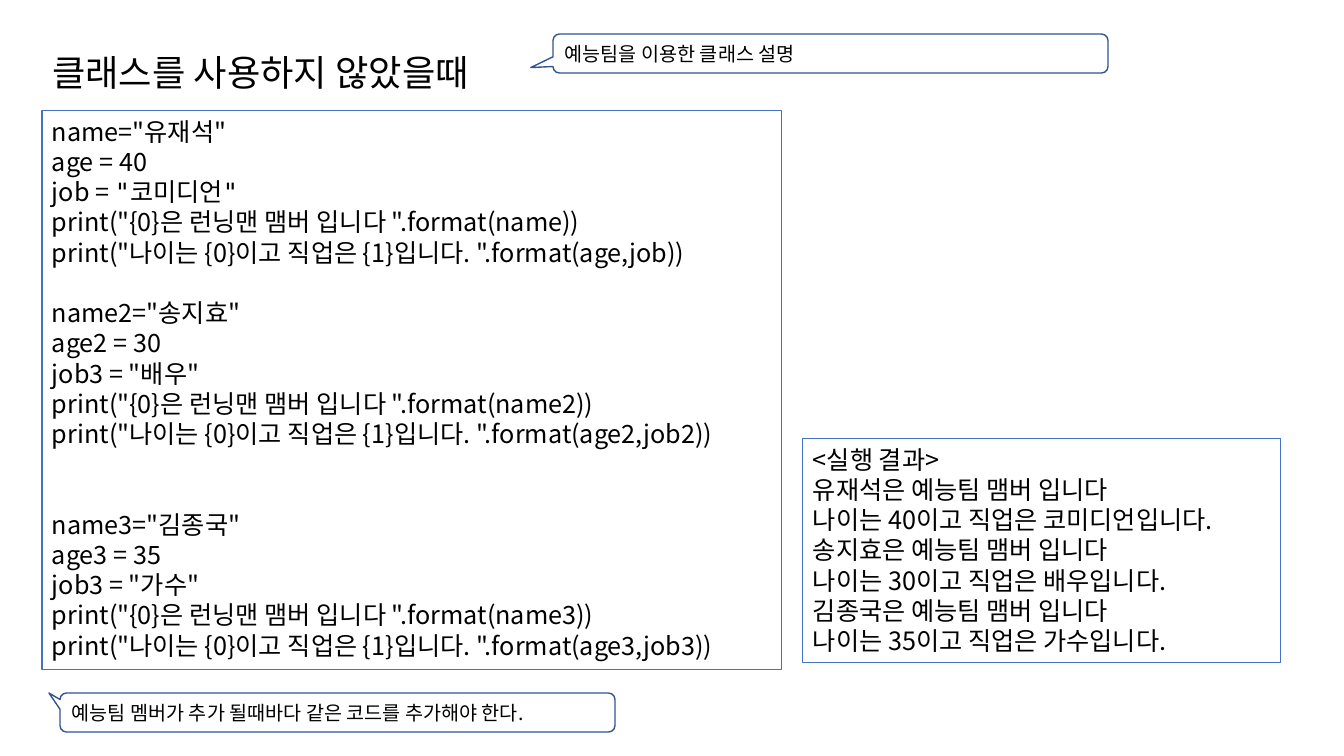
from dataclasses import dataclass

from lxml.etree import SubElement
from pptx import Presentation
from pptx.dml.color import RGBColor
from pptx.enum.shapes import MSO_SHAPE as Shape
from pptx.enum.text import MSO_ANCHOR as Anchor, MSO_AUTO_SIZE as AutoSize, PP_ALIGN as Align
from pptx.oxml.ns import qn
from pptx.util import Pt


@dataclass(frozen=True)
class Theme:
    font: str = "Noto Sans CJK KR"
    mono: str = "DejaVu Sans Mono"
    ink: RGBColor = RGBColor(0, 0, 0)
    paper: RGBColor = RGBColor(255, 255, 255)
    frame: RGBColor = RGBColor(0x44, 0x72, 0xC4)
    callout: RGBColor = RGBColor(0x32, 0x54, 0x91)
    title_size: float = 25.9
    body_size: int = 18
    note_size: int = 14
    line_pitch: float = 21.6


THEME = Theme()
EMU_PER_PX = 914400 / 100.8

MEMBERS = [
    ['name="유재석"', "age = 40", ("job = ", '"코미디언"'),
     'print("{0}은 런닝맨 맴버 입니다 ".format(name))',
     'print("나이는 {0}이고 직업은 {1}입니다. ".format(age,job))'],
    ['name2="송지효"', "age2 = 30", 'job3 = "배우"',
     'print("{0}은 런닝맨 맴버 입니다 ".format(name2))',
     'print("나이는 {0}이고 직업은 {1}입니다. ".format(age2,job2))'],
    ['name3="김종국"', "age3 = 35", 'job3 = "가수"',
     'print("{0}은 런닝맨 맴버 입니다 ".format(name3))',
     'print("나이는 {0}이고 직업은 {1}입니다. ".format(age3,job3))'],
]
LINES_BEFORE_MEMBER = [0, 1, 2]

RESULTS = [
    "<실행 결과>",
    "유재석은 예능팀 맴버 입니다",
    "나이는 40이고 직업은 코미디언입니다.",
    "송지효은 예능팀 맴버 입니다",
    "나이는 30이고 직업은 배우입니다.",
    "김종국은 예능팀 맴버 입니다",
    "나이는 35이고 직업은 가수입니다.",
]


def px(length):
    return round(length * EMU_PER_PX)


def style(font, size, name=THEME.font):
    font.size = Pt(size)
    font.name = name
    font.color.rgb = THEME.ink


def write_line(para, text, size):
    para.alignment = Align.LEFT
    if isinstance(text, tuple):
        for part, name in zip(text, (THEME.font, THEME.mono)):
            span = para.add_run()
            span.text = part
            style(span.font, size, name)
    else:
        para.add_run().text = text
        style(para.font, size)
        defaults = para._p.pPr.find(qn("a:defRPr"))
        SubElement(defaults, qn("a:ea"), typeface=THEME.font)


def write_lines(frame, groups, gaps):
    first = True
    for group, gap in zip(groups, gaps):
        for index, text in enumerate(group):
            para = frame.paragraphs[0] if first else frame.add_paragraph()
            para.line_spacing = Pt(THEME.line_pitch)
            if gap and index == 0:
                para.space_before = Pt(gap * THEME.line_pitch)
            write_line(para, text, THEME.body_size)
            first = False


def add_title(page, text, left, top, width, height):
    title = page.shapes.title
    title.left, title.top, title.width, title.height = map(px, (left, top, width, height))
    frame = title.text_frame
    frame.auto_size = AutoSize.NONE
    frame.vertical_anchor = Anchor.BOTTOM
    para = frame.paragraphs[0]
    para.line_spacing = 0.9
    write_line(para, text, THEME.title_size)


def add_outlined(page, kind, bounds, color, weight, anchor):
    box = page.shapes.add_shape(kind, *map(px, bounds))
    box.shadow.inherit = False
    box.line.color.rgb = color
    box.line.width = Pt(weight)
    box.text_frame.word_wrap = True
    box.text_frame.vertical_anchor = anchor
    return box


def add_panel(page, groups, gaps, *bounds):
    box = add_outlined(page, Shape.RECTANGLE, bounds, THEME.frame, 0.75, Anchor.TOP)
    box.fill.background()
    write_lines(box.text_frame, groups, gaps)


def add_callout(page, text, tip, *bounds):
    box = add_outlined(page, Shape.ROUNDED_RECTANGULAR_CALLOUT, bounds,
                       THEME.callout, 1, Anchor.MIDDLE)
    box.fill.solid()
    box.fill.fore_color.rgb = THEME.paper
    box.adjustments[0], box.adjustments[1] = tip
    write_line(box.text_frame.paragraphs[0], text, THEME.note_size)


def main():
    deck = Presentation()
    deck.slide_width, deck.slide_height = px(1344), px(756)
    page = deck.slides.add_slide(deck.slide_layouts[5])
    add_title(page, "클래스를 사용하지 않았을때", 42, 37, 486, 62)
    add_panel(page, MEMBERS, LINES_BEFORE_MEMBER, 42, 111, 740, 559)
    add_panel(page, [RESULTS], [0], 803, 439, 478, 224)
    add_callout(page, "예능팀 멤버가 추가 될때바다 같은 코드를 추가해야 한다.",
                (-0.52, -0.5), 60, 693, 555, 39)
    add_callout(page, "예능팀을 이용한 클래스 설명",
                (-0.54, 0.36), 553, 34, 555, 39)
    deck.save("out.pptx")


if __name__ == "__main__":
    main()
